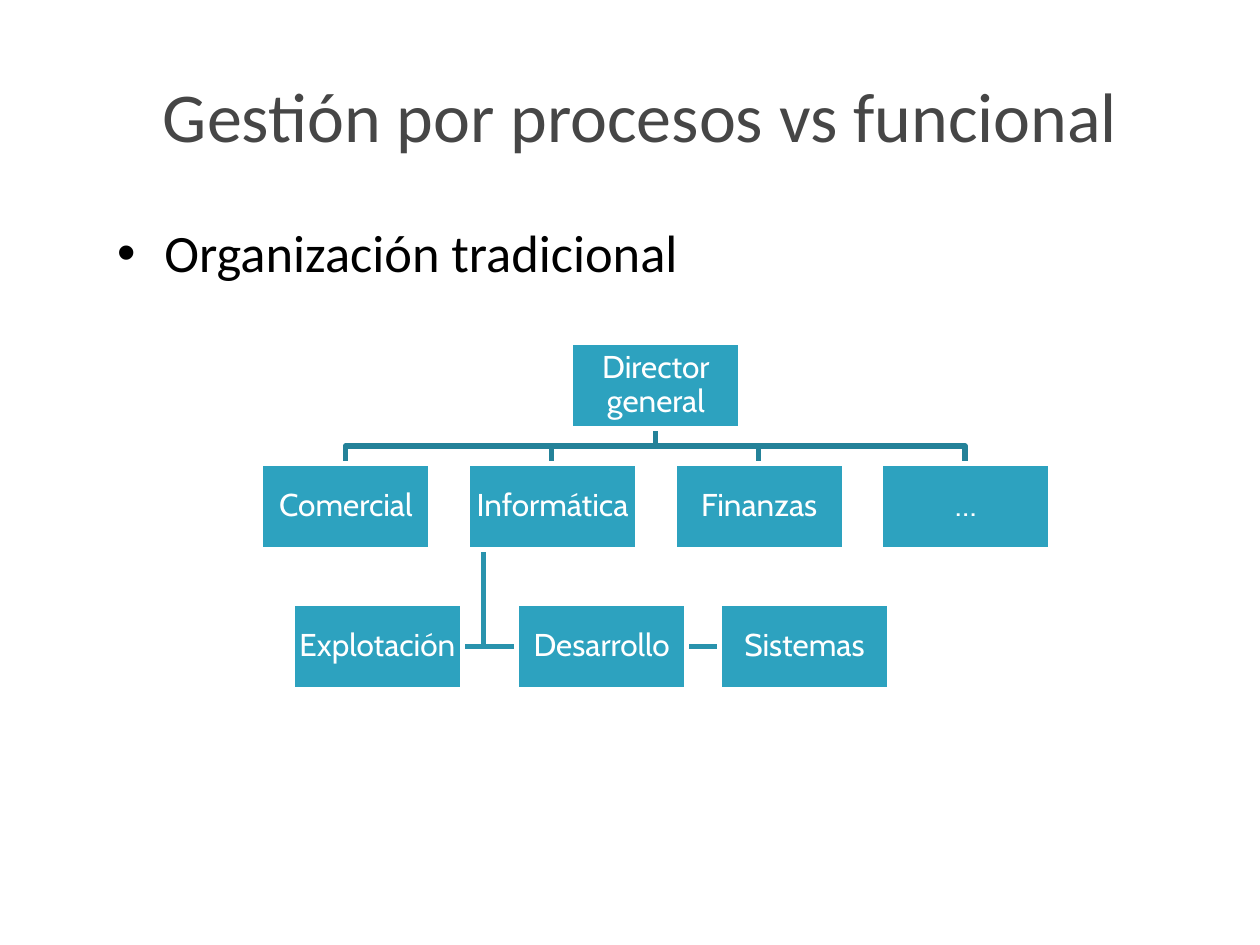
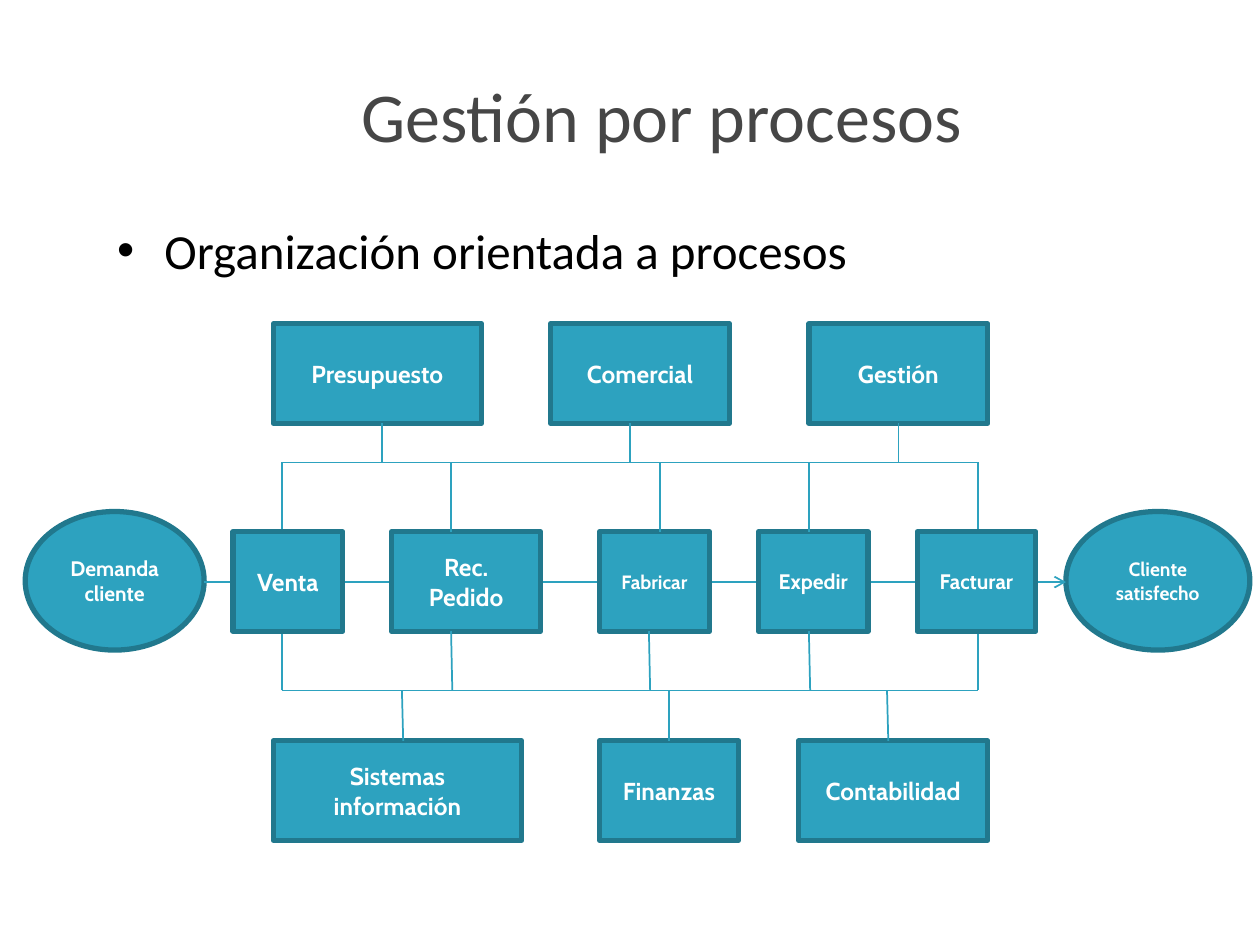
from dataclasses import dataclass
from typing import NamedTuple

import lxml.etree
import pptx
import pptx.dml.color
import pptx.enum.shapes
import pptx.enum.text
import pptx.oxml.ns
import pptx.shapes.autoshape
import pptx.shapes.connector
import pptx.slide
import pptx.util

EMU_PER_PX = 9144
RECT = pptx.enum.shapes.MSO_SHAPE.RECTANGLE
OVAL = pptx.enum.shapes.MSO_SHAPE.OVAL


@dataclass(frozen=True)
class Theme:
    title: str = "464646"
    body: str = "000000"
    fill: str = "2DA2BF"
    edge: str = "21788D"
    white: str = "FFFFFF"
    upper_branch: str = "248299"
    lower_branch: str = "2993AD"
    text_font: str = "Calibri"
    box_font: str = "Cabin"
    title_size: int = 40
    chart_size: int = 18
    box_size: int = 14
    small_size: int = 12
    tiny_size: int = 11
    thick: int = 3
    thin: int = 1


THEME = Theme()


class Point(NamedTuple):
    x: int
    y: int


class Box(NamedTuple):
    text: str
    x: int
    y: int
    w: int
    h: int
    size: int = THEME.box_size
    kind: pptx.enum.shapes.MSO_SHAPE = RECT


class Stubs(NamedTuple):
    xs: tuple[int, ...]
    top: int
    bottom: int
    slant: int = 0


def px(n: int) -> pptx.util.Emu:
    return pptx.util.Emu(n * EMU_PER_PX)


def rgb(value: str) -> pptx.dml.color.RGBColor:
    return pptx.dml.color.RGBColor.from_string(value)


def format_text(tf, font: str, size: int, color: str, bold: bool = False) -> None:
    for p in tf.paragraphs:
        for r in p.runs:
            r.font.name = font
            r.font.size = pptx.util.Pt(size)
            r.font.bold = bold
            r.font.color.rgb = rgb(color)


def place(sp, x: int, y: int, w: int, h: int) -> None:
    sp.left, sp.top, sp.width, sp.height = px(x), px(y), px(w), px(h)


def set_line(sp, color: str, width: int) -> None:
    sp.line.color.rgb = rgb(color)
    sp.line.width = pptx.util.Pt(width)


def add_slide(prs, title: str, title_x: int, bullet: str, bullet_size: int) -> pptx.slide.Slide:
    s = prs.slides.add_slide(prs.slide_layouts[1])
    heading, body = s.shapes.title, s.placeholders[1]
    place(heading, title_x, 28, 900, 125)
    heading.text_frame.text = title
    format_text(heading.text_frame, THEME.text_font, THEME.title_size, THEME.title)
    place(body, 83, 170, 767, 495)
    body.text_frame.text = bullet
    format_text(body.text_frame, THEME.text_font, bullet_size, THEME.body)
    return s


def add_box(s: pptx.slide.Slide, box: Box, edge: str, bold: bool) -> pptx.shapes.autoshape.Shape:
    sp = s.shapes.add_shape(box.kind, px(box.x), px(box.y), px(box.w), px(box.h))
    sp.shadow.inherit = False
    sp.fill.solid()
    sp.fill.fore_color.rgb = rgb(THEME.fill)
    set_line(sp, edge, THEME.thick)
    tf = sp.text_frame
    tf.text = box.text
    tf.word_wrap = True
    tf.vertical_anchor = pptx.enum.text.MSO_ANCHOR.MIDDLE
    tf.paragraphs[0].alignment = pptx.enum.text.PP_ALIGN.CENTER
    format_text(tf, THEME.box_font, box.size, THEME.white, bold)
    return sp


def add_chart_box(s: pptx.slide.Slide, box: Box) -> None:
    tf = add_box(s, box, THEME.white, bold=False).text_frame
    tf.margin_left = tf.margin_right = tf.margin_top = tf.margin_bottom = px(1)
    tf.paragraphs[0].line_spacing = 0.9


def add_branch(s: pptx.slide.Slide, points: list[Point], color: str) -> None:
    start, *rest = [(px(p.x), px(p.y)) for p in points]
    builder = s.shapes.build_freeform(*start)
    builder.add_line_segments(rest, close=False)
    sp = builder.convert_to_shape()
    sp.shadow.inherit = False
    sp.fill.background()
    set_line(sp, color, THEME.thick)


def add_line(s: pptx.slide.Slide, a: Point, b: Point) -> pptx.shapes.connector.Connector:
    c = s.shapes.add_connector(pptx.enum.shapes.MSO_CONNECTOR.STRAIGHT,
                               px(a.x), px(a.y), px(b.x), px(b.y))
    set_line(c, THEME.fill, THEME.thin)
    lxml.etree.SubElement(c.element.spPr, pptx.oxml.ns.qn("a:effectLst"))
    return c


def add_arrow(s: pptx.slide.Slide, a: Point, b: Point) -> None:
    ln = add_line(s, a, b).element.spPr.find(pptx.oxml.ns.qn("a:ln"))
    lxml.etree.SubElement(ln, pptx.oxml.ns.qn("a:tailEnd"), type="arrow")


def add_stubs(s: pptx.slide.Slide, stubs: Stubs) -> dict[int, pptx.shapes.connector.Connector]:
    return {x: add_line(s, Point(x, stubs.top), Point(x + stubs.slant, stubs.bottom))
            for x in stubs.xs}


def build_traditional(prs) -> None:
    s = add_slide(prs, "Gestión por procesos vs funcional", 58, "Organización tradicional", 30)
    w, h = 135, 68

    def chart_box(text: str, x: int, y: int) -> Box:
        return Box(text, x, y, w, h, THEME.chart_size)

    director = chart_box("Director general", 453, 272)
    areas = [chart_box(text, 207 + 164 * i, 368)
             for i, text in enumerate(("Comercial", "Informática", "Finanzas", "…"))]
    teams = [chart_box(text, x, 479) for text, x in
             (("Explotación", 232), ("Desarrollo", 410), ("Sistemas", 571))]

    trunk = Point(director.x + w // 2, director.y + h)
    bar_y = (trunk.y + areas[0].y) // 2
    for area in areas:
        x = area.x + w // 2
        add_branch(s, [trunk, Point(trunk.x, bar_y), Point(x, bar_y), Point(x, area.y)],
                   THEME.upper_branch)

    stem = Point(384, areas[1].y + h)
    for team in teams:
        x = team.x if team.x > stem.x else team.x + w
        corner = Point(stem.x, team.y + h // 2)
        add_branch(s, [stem, corner, Point(x, corner.y)], THEME.lower_branch)

    for box in (director, *areas, *teams):
        add_chart_box(s, box)


def build_process(prs) -> None:
    s = add_slide(prs, "Gestión por procesos", 75, "Organización orientada a procesos", 28)
    h, top_y, step_y, bottom_y = 79, 257, 422, 588
    left, right, upper, lower = 224, 776, 367, 548
    small, tiny = THEME.small_size, THEME.tiny_size

    support = [
        Box("Presupuesto", 217, top_y, 165, h),
        Box("Comercial", 437, top_y, 142, h),
        Box("Gestión", 642, top_y, 142, h),
        Box("Sistemas información", 217, bottom_y, 197, h),
        Box("Finanzas", 476, bottom_y, 110, h),
        Box("Contabilidad", 634, bottom_y, 150, h),
    ]
    ends = [
        Box("Demanda cliente", 20, 406, 142, 110, small, OVAL),
        Box("Cliente satisfecho", 846, 406, 146, 110, tiny, OVAL),
    ]
    steps = [
        Box("Venta", 185, step_y, 87, h),
        Box("Rec. Pedido", 311, step_y, 118, h),
        Box("Fabricar", 476, step_y, 87, h, tiny),
        Box("Expedir", 602, step_y, 87, h, small),
        Box("Facturar", 728, step_y, 94, h, small),
    ]

    shapes = {box.text: add_box(s, box, THEME.edge, bold=True) for box in support + ends}
    add_arrow(s, Point(162, 462), Point(846, 462))
    for y in (upper, lower):
        add_line(s, Point(left, y), Point(right, y))
    for x in (left, right):
        add_line(s, Point(x, lower), Point(x, upper))
    for box in steps:
        add_box(s, box, THEME.edge, bold=True)

    from_top = add_stubs(s, Stubs((303, 500, 713), top_y + h, upper))
    from_top[713].begin_connect(shapes["Gestión"], 2)
    to_bottom = add_stubs(s, Stubs((319, 531, 704), lower, bottom_y, slant=1))
    to_bottom[531].end_connect(shapes["Finanzas"], 0)
    add_stubs(s, Stubs((358, 515, 642), step_y + h, lower, slant=1))
    add_stubs(s, Stubs((358, 524, 642), upper, step_y))


def main() -> None:
    prs = pptx.Presentation()
    prs.slide_width, prs.slide_height = px(1000), px(750)
    build_traditional(prs)
    build_process(prs)
    prs.save("out.pptx")


if __name__ == "__main__":
    main()
